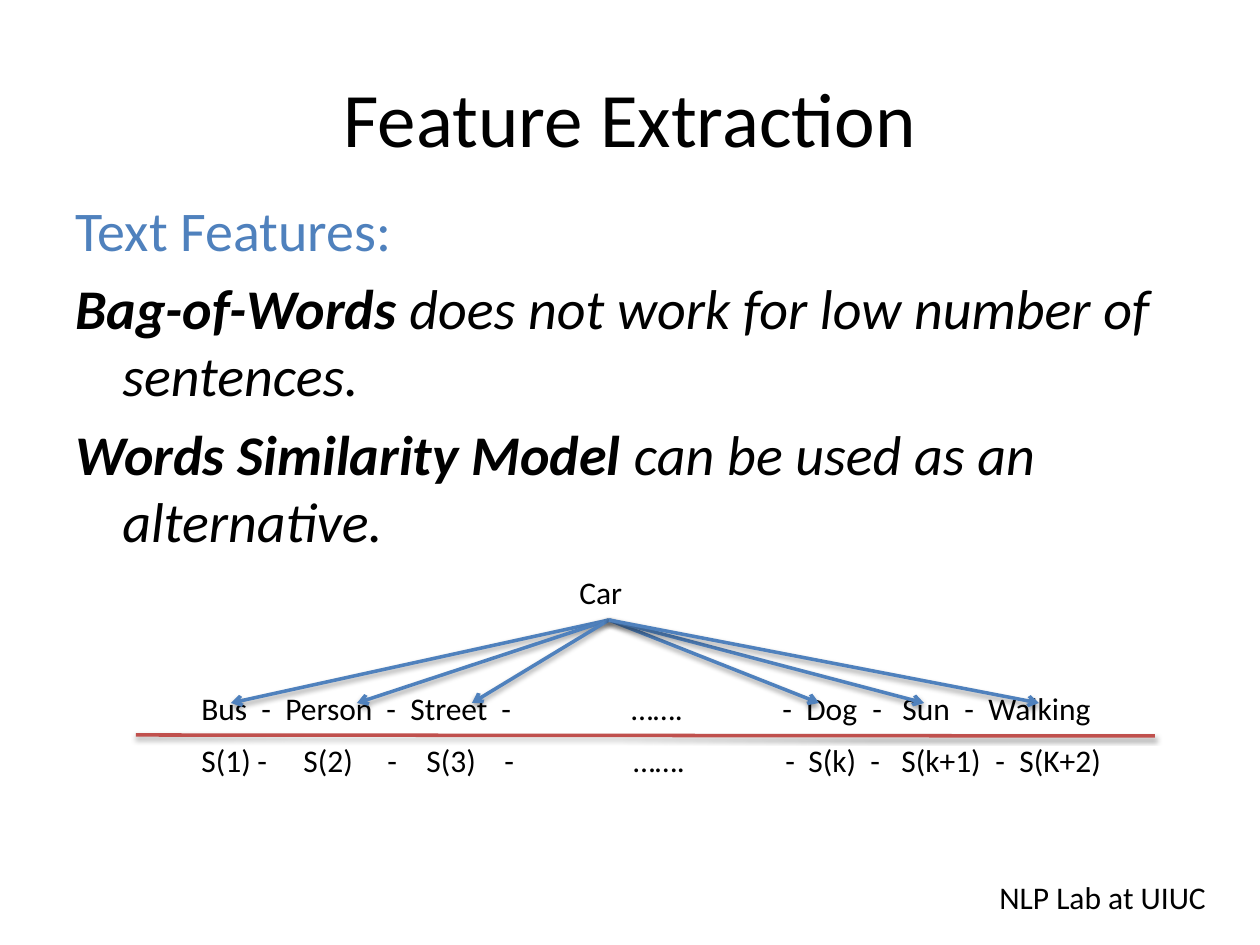
import lxml.etree
import pptx
import pptx.dml.color
import pptx.enum.shapes
import pptx.enum.text
import pptx.oxml
import pptx.oxml.ns
import pptx.util

PX = 914400 / 126
FONT = "Calibri"
COLORS = {"text": "000000", "accent": "4F81BD", "rule": "C0504D", "shadow": "000000"}
ALIGN = pptx.enum.text.PP_ALIGN
qn = pptx.oxml.ns.qn


def emu(px):
    """Turn px into EMU."""
    return pptx.util.Emu(round(px * PX))


def rgb(name):
    """Look up a colour by its role."""
    return pptx.dml.color.RGBColor.from_string(COLORS[name])


def format_run(r, size, color="text", bold=False, italic=False):
    """Set the font of one run."""
    r.font.name, r.font.size = FONT, pptx.util.Pt(size)
    r.font.bold, r.font.italic = bold, italic
    r.font.color.rgb = rgb(color)


def add_box(s, x, y, w, h):
    """Add an empty wrapping text box and return its frame."""
    tf = s.shapes.add_textbox(emu(x), emu(y), emu(w), emu(h)).text_frame
    tf.word_wrap = True
    return tf


def add_label(s, x, y, w, h, text, size=18):
    """Add a one-paragraph label and return its frame."""
    tf = add_box(s, x, y, w, h)
    tf.text = text
    format_run(tf.paragraphs[0].runs[0], size)
    return tf


def add_title(s, x, y, w, h, text):
    """Place the centred title."""
    tf = add_label(s, x, y, w, h, text, 44)
    tf.vertical_anchor = pptx.enum.text.MSO_ANCHOR.MIDDLE
    tf.paragraphs[0].alignment = ALIGN.CENTER


def add_body(s, x, y, w, h, paragraphs):
    """Place hanging paragraphs, each a list of formatted runs."""
    tf = add_box(s, x, y, w, h)
    for i, runs in enumerate(paragraphs):
        p = tf.add_paragraph() if i else tf.paragraphs[0]
        p.space_before = pptx.util.Pt(6.4)
        pPr = p._p.get_or_add_pPr()
        pPr.set("marL", str(emu(47)))
        pPr.set("indent", str(emu(-47)))
        for text, style in runs:
            r = p.add_run()
            r.text = text
            format_run(r, 32, **style)


def add_row(s, x, y, w, h, words, stops):
    """Place words on one line, each at its own tab stop."""
    tf = add_label(s, x, y, w, h, "\t".join(words))
    pPr = tf.paragraphs[0]._p.get_or_add_pPr()
    tabs = lxml.etree.SubElement(pPr, qn("a:tabLst"))
    for stop in stops:
        lxml.etree.SubElement(tabs, qn("a:tab"), pos=str(emu(stop)), algn="l")


def add_line(s, x1, y1, x2, y2, color, arrow=False):
    """Draw a softly shadowed line, with an arrowhead if asked."""
    line = s.shapes.add_connector(
        pptx.enum.shapes.MSO_CONNECTOR.STRAIGHT, emu(x1), emu(y1), emu(x2), emu(y2))
    line.line.color.rgb = rgb(color)
    line.line.width = pptx.util.Pt(2)
    if arrow:
        lxml.etree.SubElement(line.line._get_or_add_ln(), qn("a:tailEnd"), type="arrow")
    line._element.spPr.append(pptx.oxml.parse_xml(
        f'<a:effectLst {pptx.oxml.ns.nsdecls("a")}>'
        '<a:outerShdw blurRad="40000" dist="20000" dir="5400000" rotWithShape="0">'
        f'<a:srgbClr val="{COLORS["shadow"]}"><a:alpha val="38000"/></a:srgbClr>'
        '</a:outerShdw></a:effectLst>'))


def add_similarity(s, x, y, w, h):
    """Link the query word to the vocabulary and its scores."""
    add_label(s, x + 431, y, 84, 53, "Car")
    add_row(s, x + 53, y + 116, 945, 53,
            ["Bus", "-", "Person", "-", "Street", "-", "…….",
             "-", "Dog", "-", "Sun", "-", "Walking"],
            [60, 84, 185, 209, 300, 430, 581, 605, 671, 701, 763, 787])
    for tip in (95, 221, 336, 683, 788, 903):
        add_line(s, x + 473, y + 53, x + tip, y + 136, "accent", arrow=True)
    add_row(s, x + 53, y + 168, 945, 50,
            ["S(1)", "-", "S(2)", "-", "S(3)", "-", "…….",
             "-", "S(k)", "-", "S(k+1)", "-", "S(K+2)"],
            [56, 102, 186, 225, 303, 432, 584, 607, 669, 700, 794, 818])
    add_line(s, x, y + 168, x + w, y + 169, "rule")


def main():
    """Build the slide and save it."""
    prs = pptx.Presentation()
    prs.slide_width, prs.slide_height = emu(1260), emu(945)
    s = prs.slides.add_slide(prs.slide_layouts[6])
    strong, plain = {"bold": True, "italic": True}, {"italic": True}
    add_title(s, 63, 38, 1134, 158, "Feature Extraction")
    add_body(s, 63, 189, 1134, 410, [
        [("Text Features:", {"color": "accent"})],
        [("Bag-of-Words", strong),
         (" does not work for low number of sentences.", plain)],
        [("Words Similarity Model ", strong),
         ("can be used as an alternative.", plain)],
    ])
    add_similarity(s, 136, 567, 1019, 218)
    add_label(s, 987, 872, 242, 50, "NLP Lab at UIUC")
    prs.save("out.pptx")


if __name__ == "__main__":
    main()
